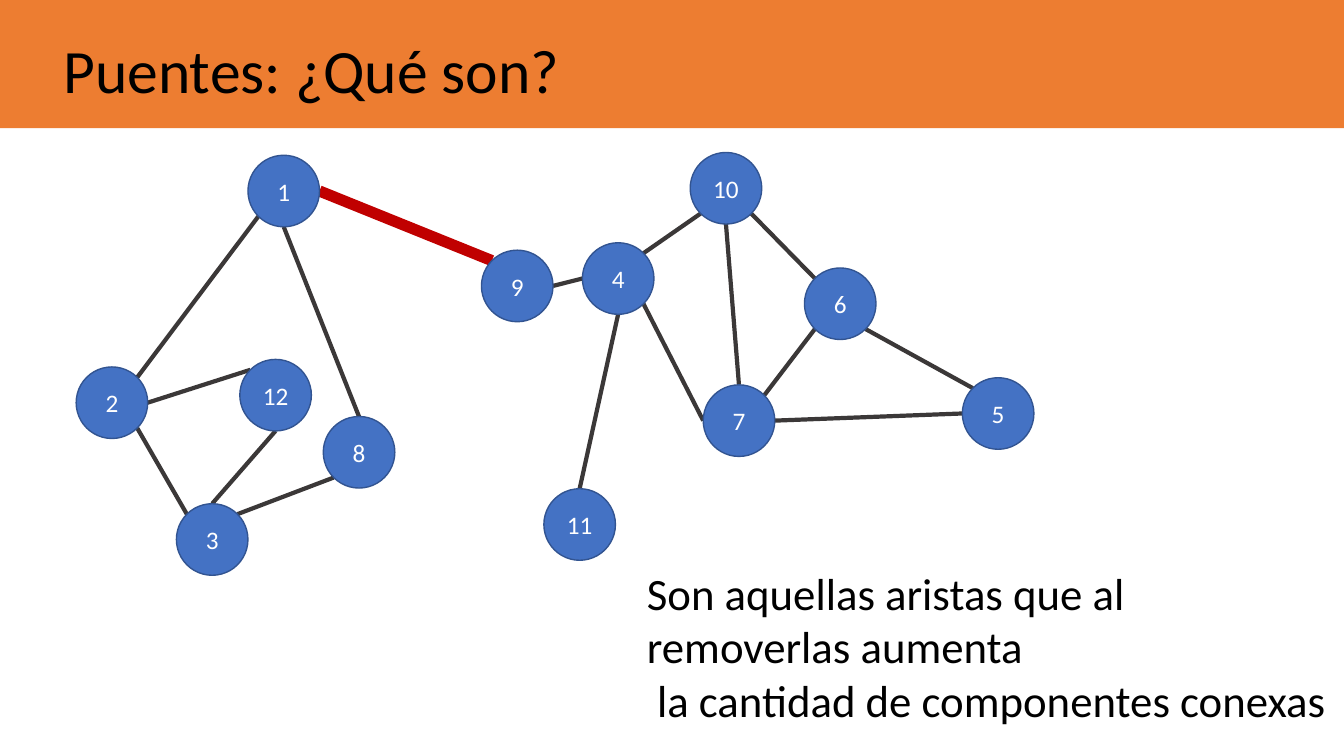
import math
import lxml.etree
import pptx
import pptx.dml.color
import pptx.enum.shapes
import pptx.enum.text
import pptx.oxml.ns
import pptx.util

# Content: nodes as label -> (left, top), in points
NODES = {
    "1": (177.1, 110.9), "2": (54.4, 262.1), "3": (126, 359.8),
    "9": (343.9, 178.7), "4": (416, 173.4), "10": (493, 108.9),
    "7": (502.3, 274.9), "6": (574.6, 191.4), "11": (388.5, 349.1),
    "5": (687.4, 269.8), "8": (230.9, 297.5), "12": (171.3, 256.7),
}
# Edges: node, side, node, side
BRIDGE = ("9", "NW", "1", "E")
EDGES = [
    BRIDGE,
    ("4", "W", "9", "E"), ("10", "SW", "4", "NE"), ("10", "SE", "6", "NW"),
    ("2", "NE", "1", "SW"), ("2", "SE", "3", "NW"), ("8", "SW", "3", "NE"),
    ("7", "NE", "6", "SW"), ("7", "W", "4", "SE"), ("4", "S", "11", "N"),
    ("6", "SE", "5", "NW"), ("10", "S", "7", "N"), ("7", "E", "5", "W"),
    ("8", "N", "1", "S"), ("3", "N", "12", "S"), ("2", "E", "12", "NW"),
]
TEXTS = [
    (["Son aquellas aristas que al", "removerlas aumenta",
      " la cantidad de componentes conexas"], (455, 400.3, 504.7, 123.8), "body"),
    (["Puentes: ¿Qué son?"], (38.2, 19.4, 373, 60.5), "title"),
]
BANNER = (-5, 0, 983, 91.5)
SIDES = ["N", "NW", "W", "SW", "S", "SE", "E", "NE"]
SIZE = 51.1

THEME = {
    "font": "Calibri",
    "banner": "ED7D31", "node": "4472C4", "rim": "325491",
    "edge": "3B3838", "bridge": "C00000", "ink": "000000", "label": "FFFFFF",
    "title": 44, "body": 32, "small": 18,
    "rimw": 1, "edgew": 3, "bridgew": 8,
}

Pt = pptx.util.Pt
KIND = pptx.enum.shapes.MSO_SHAPE
TEXT = pptx.enum.text
qn = pptx.oxml.ns.qn


def tint(name):
    return pptx.dml.color.RGBColor.from_string(THEME[name])


def put(item, form):
    for key, value in form.items():
        setattr(item, key, value)


def write(frame, lines, size, ink, align):
    for i, line in enumerate(lines):
        para = frame.add_paragraph() if i else frame.paragraphs[0]
        para.alignment = align
        run = para.add_run()
        run.text = line
        put(run.font, {"name": THEME["font"], "size": Pt(THEME[size])})
        run.font.color.rgb = tint(ink)


def block(kind, box, fill):
    shape = slide.shapes.add_shape(kind, *map(Pt, box))
    shape.shadow.inherit = False
    shape.fill.solid()
    shape.fill.fore_color.rgb = tint(fill)
    return shape


def stroke(item, name, width):
    item.line.color.rgb = tint(name)
    item.line.width = Pt(THEME[width])


def site(label, side):
    # Eight points on the circle, anticlockwise from the top
    turn = math.radians(45 * SIDES.index(side))
    left, top = NODES[label]
    half = SIZE / 2
    return (Pt(left + half - half * math.sin(turn)),
            Pt(top + half - half * math.cos(turn)))


deck = pptx.Presentation()
put(deck, {"slide_width": Pt(960), "slide_height": Pt(540)})
slide = deck.slides.add_slide(deck.slide_layouts[6])

# Banner and texts
block(KIND.RECTANGLE, BANNER, "banner").line.fill.background()
for lines, box, size in TEXTS:
    frame = slide.shapes.add_textbox(*map(Pt, box)).text_frame
    put(frame, {"word_wrap": False,
                "auto_size": TEXT.MSO_AUTO_SIZE.SHAPE_TO_FIT_TEXT})
    write(frame, lines, size, "ink", TEXT.PP_ALIGN.LEFT)

# Edges, beneath the nodes
links = []
for edge in EDGES:
    start, side, end, face = edge
    link = slide.shapes.add_connector(
        pptx.enum.shapes.MSO_CONNECTOR.STRAIGHT,
        *site(start, side), *site(end, face))
    name = "bridge" if edge == BRIDGE else "edge"
    stroke(link, name, name + "w")
    lxml.etree.SubElement(link.element.spPr, qn("a:effectLst"))
    links.append(link)

# Nodes
discs = {}
for label, spot in NODES.items():
    disc = block(KIND.OVAL, (*spot, SIZE, SIZE), "node")
    stroke(disc, "rim", "rimw")
    put(disc.text_frame, {"word_wrap": True,
                          "vertical_anchor": TEXT.MSO_ANCHOR.MIDDLE})
    write(disc.text_frame, [label], "small", "label", TEXT.PP_ALIGN.CENTER)
    discs[label] = disc

# Glue each edge to its two nodes
for link, (start, side, end, face) in zip(links, EDGES):
    joint = link.element.find(".//" + qn("p:cNvCxnSpPr"))
    for tag, label, point in (("a:stCxn", start, side), ("a:endCxn", end, face)):
        lxml.etree.SubElement(joint, qn(tag), id=str(discs[label].shape_id),
                              idx=str(SIDES.index(point)))

deck.save("out.pptx")
